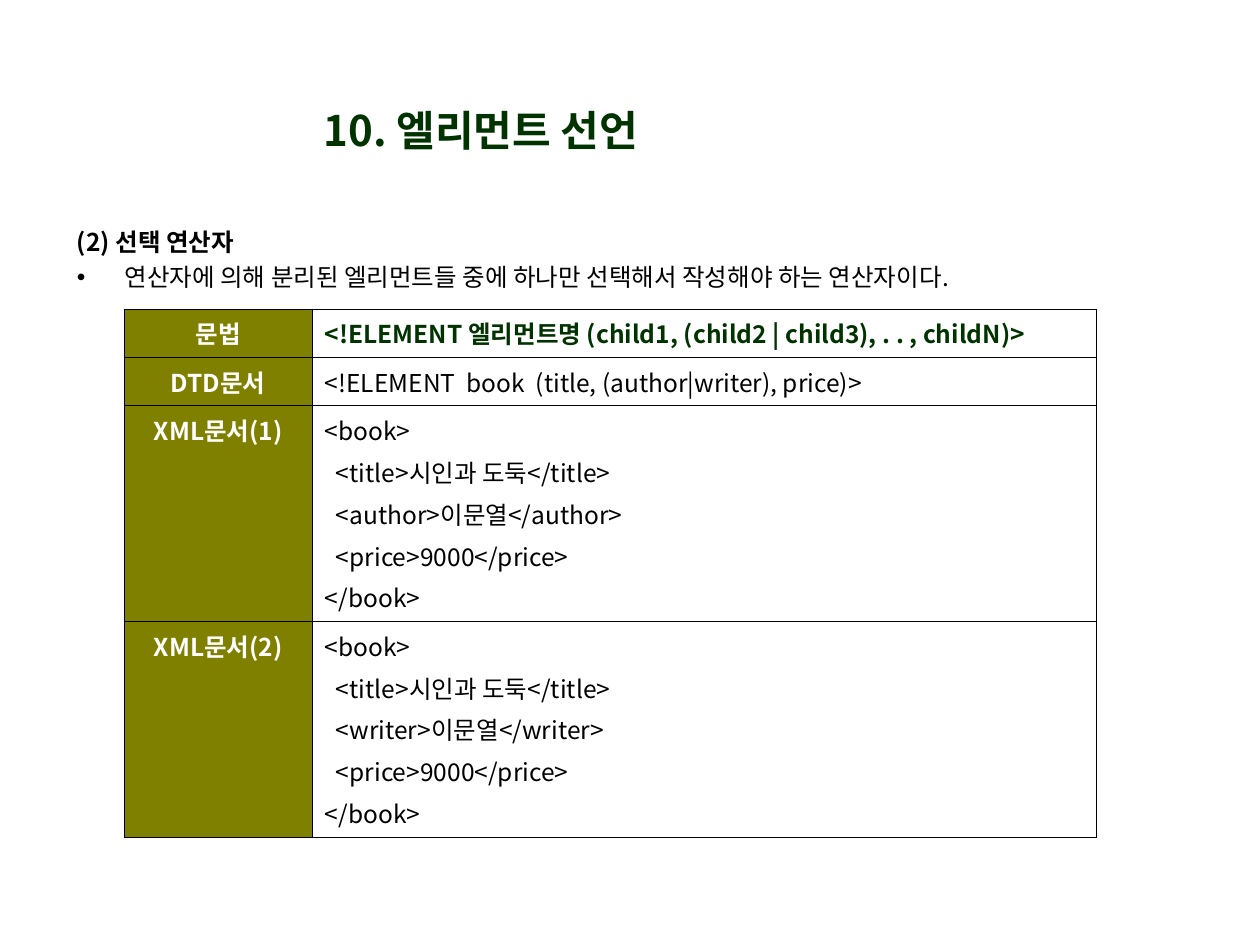
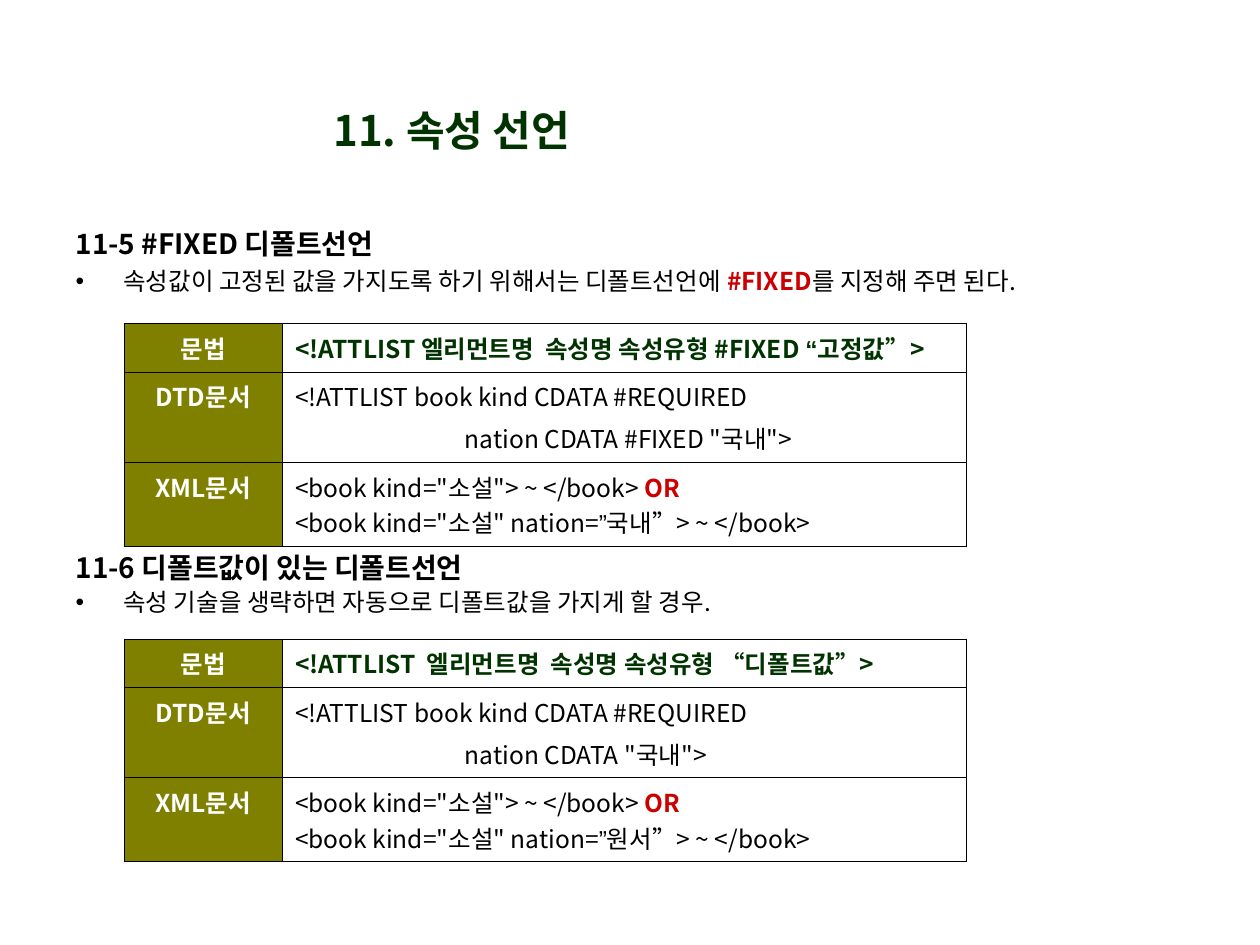
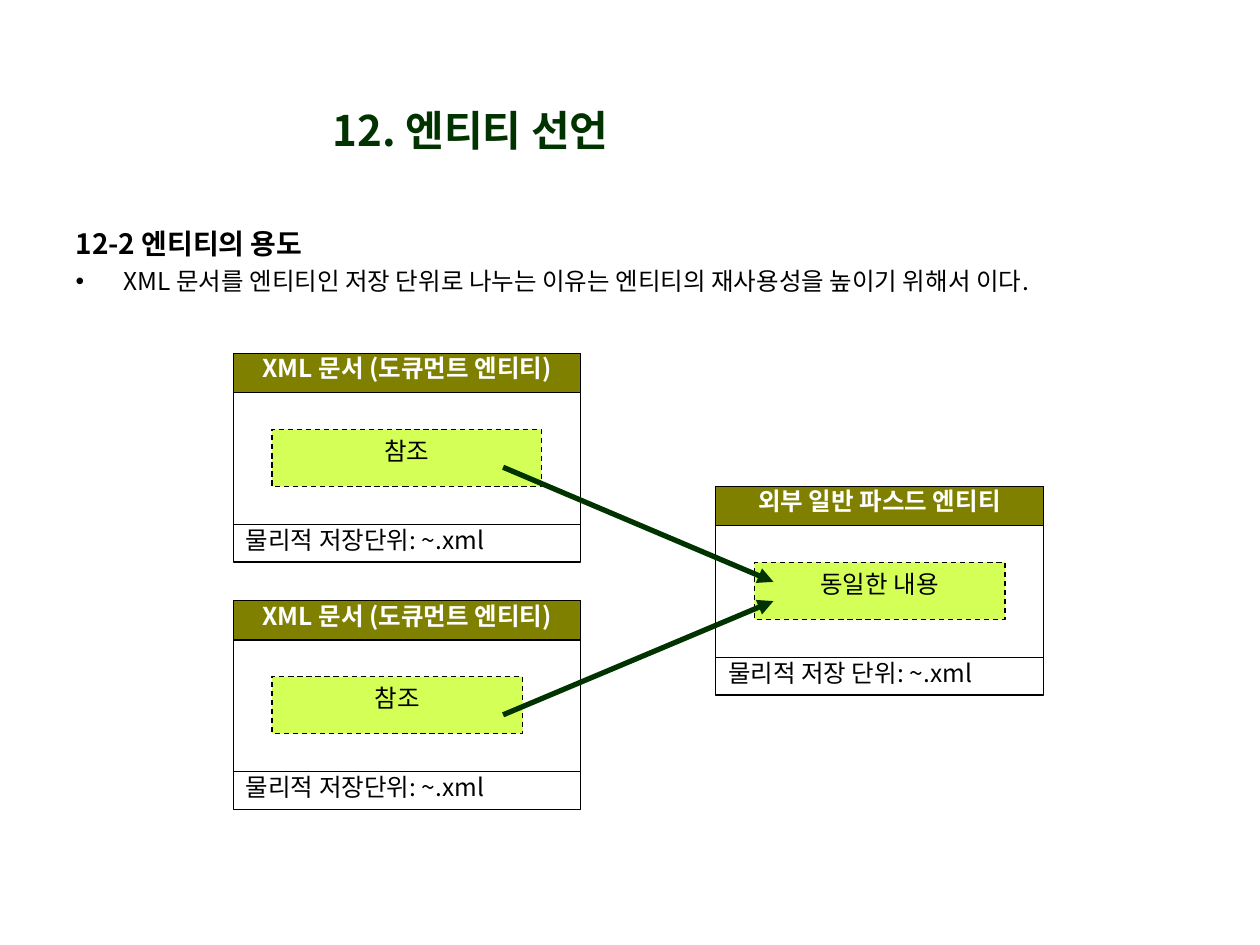
from lxml.etree import SubElement
from pptx import Presentation
from pptx.dml.color import RGBColor
from pptx.enum.dml import MSO_LINE
from pptx.enum.shapes import MSO_CONNECTOR, MSO_SHAPE
from pptx.enum.text import MSO_ANCHOR, MSO_AUTO_SIZE, PP_ALIGN
from pptx.oxml.ns import qn
from pptx.util import Pt

COLORS = {"black": "000000", "white": "FFFFFF", "green": "003300",
          "olive": "808000", "lime": "D3FF57", "red": "CC0000"}
FONT, QUOTE_FONT = "Noto Sans CJK KR", "Arial"
KEYWORDS = ("#FIXED", "OR")
HANGING = Pt(27.3)
GAP = Pt(3.5)


def rgb(name):
    return RGBColor.from_string(COLORS[name])


def write(paragraph, texts, size=14, color="black", bold=False):
    """Add one run per text; keywords turn red and bold, curly quotes take their own font."""
    for text in texts:
        keyword = text in KEYWORDS
        run = paragraph.add_run()
        run.text = text
        font = run.font
        font.size = Pt(size)
        font.bold = bold or keyword
        font.color.rgb = rgb("red" if keyword else color)
        font.name = QUOTE_FONT if text in ("“", "”") else FONT
        properties = run._r.get_or_add_rPr()
        properties.set("kern", "0")
        SubElement(properties, qn("a:ea"), typeface=FONT)


# Table rows: label, lines of runs, space between the lines
choice_rows = [
    ("문법", [["<!ELEMENT 엘리먼트명 (child1, (child2 | child3), . . , childN)>"]], GAP),
    ("DTD문서", [["<!ELEMENT  book  (title, (author|writer), price)>"]], GAP),
]
for number, tag in enumerate(("author", "writer"), 1):
    choice_rows.append((f"XML문서({number})", [
        ["<book>"],
        ["  <title>시인과 도둑</title>"],
        [f"  <{tag}>이문열</{tag}>"],
        ["  <price>9000</price>"],
        ["</book>"],
    ], GAP))

fixed_rows, default_rows = [
    [
        ("문법", [syntax], GAP),
        ("DTD문서", [["<!ATTLIST book kind CDATA #REQUIRED"],
                   [f'\t        nation CDATA {keyword}"국내">']], GAP),
        ("XML문서", [['<book kind="소설"> ~ </book> ', "OR"],
                   ['<book kind="소설" nation=', "”", nation, "”", "> ~ </book>"]], 0),
    ]
    for syntax, keyword, nation in [
        (["<!ATTLIST 엘리먼트명  속성명 속성유형 #FIXED ", "“", "고정값", "”", ">"],
         "#FIXED ", "국내"),
        (["<!ATTLIST  엘리먼트명  속성명 속성유형 ", "“", "디폴트값", "”", ">"],
         "", "원서"),
    ]
]

# Tables: top, column widths, row heights, rows
choice_table = (176.6, (107.6, 448), (24.5, 24.5, 105, 105), choice_rows)
fixed_table = (184.9, (90.5, 391), (25, 44.5, 41), fixed_rows)
default_table = (365.2, (90.5, 391), (24.5, 44.5, 41), default_rows)

# Sections: left, top, height, line spacing, heading, heading size, explanation, table
topics = [
    ("10. 엘리먼트 선언", 116, [
        (36.7, 126, 42, 1, "(2) 선택 연산자", 14,
         ["연산자에 의해 분리된 엘리먼트들 중에 하나만 선택해서 작성해야 하는 연산자이다."],
         choice_table),
    ]),
    ("11. 속성 선언", 99.4, [
        (36, 126, 42, 1, "11-5 #FIXED 디폴트선언", 16,
         ["속성값이 고정된 값을 가지도록 하기 위해서는 디폴트선언에 ", "#FIXED",
          "를 지정해 주면 된다."],
         fixed_table),
        (36, 313, 47.5, 0.9, "11-6 디폴트값이 있는 디폴트선언", 16,
         ["속성 기술을 생략하면 자동으로 디폴트값을 가지게 할 경우."],
         default_table),
    ]),
    ("12. 엔티티 선언", 110.2, [
        (36, 126, 47.5, 1, "12-2 엔티티의 용도", 16,
         ["XML 문서를 엔티티인 저장 단위로 나누는 이유는 엔티티의 재사용성을 높이기 위해서 이다."],
         None),
    ]),
]

prs = Presentation()
prs.slide_width, prs.slide_height = Pt(720), Pt(540)

for title_text, title_left, sections in topics:
    slide = prs.slides.add_slide(prs.slide_layouts[3 if len(sections) == 2 else 1])
    title, *bodies = slide.placeholders
    title.left, title.top, title.width, title.height = Pt(title_left), Pt(54.5), Pt(317.5), Pt(39.5)
    title.text_frame.auto_size = MSO_AUTO_SIZE.NONE
    title.text_frame.vertical_anchor = MSO_ANCHOR.MIDDLE
    heading_line = title.text_frame.paragraphs[0]
    heading_line.alignment = PP_ALIGN.CENTER
    write(heading_line, [title_text], 24, "green", True)

    for body, section in zip(bodies, sections):
        left, top, height, spacing, heading, heading_size, explanation, table_plan = section
        body.left, body.top, body.width, body.height = Pt(left), Pt(top), Pt(647), Pt(height)
        body.text_frame.auto_size = MSO_AUTO_SIZE.NONE
        intro = body.text_frame.paragraphs[0]
        bullet = body.text_frame.add_paragraph()
        for paragraph, mark in ((intro, None), (bullet, "•")):
            properties = paragraph._p.get_or_add_pPr()
            properties.set("marL", str(HANGING))
            properties.set("indent", str(-HANGING))
            if mark:
                SubElement(properties, qn("a:buChar"), char=mark)
            else:
                SubElement(properties, qn("a:buNone"))
            paragraph.line_spacing = spacing
            paragraph.space_before = GAP if mark else 0
        write(intro, [heading], heading_size, bold=True)
        write(bullet, explanation)

        if not table_plan:
            continue
        table_top, columns, heights, rows = table_plan
        table = slide.shapes.add_table(len(rows), 2, Pt(70.9), Pt(table_top),
                                       Pt(sum(columns)), Pt(sum(heights))).table
        table.first_row = table.horz_banding = False
        for column, width in zip(table.columns, columns):
            column.width = Pt(width)
        for row_index, (row, row_height, (label, lines, gap)) in enumerate(
                zip(table.rows, heights, rows)):
            row.height = Pt(row_height)
            label_cell, code_cell = row.cells
            for cell, fill in ((label_cell, "olive"), (code_cell, "white")):
                for side in ("a:lnL", "a:lnR", "a:lnT", "a:lnB"):
                    border = SubElement(cell._tc.get_or_add_tcPr(), qn(side), w=str(Pt(0.45)))
                    SubElement(SubElement(border, qn("a:solidFill")), qn("a:srgbClr"),
                               val=COLORS["black"])
                cell.fill.solid()
                cell.fill.fore_color.rgb = rgb(fill)
            label_line = label_cell.text_frame.paragraphs[0]
            label_line.alignment = PP_ALIGN.CENTER
            write(label_line, [label], color="white", bold=True)
            is_syntax = row_index == 0
            for line_index, line in enumerate(lines):
                frame = code_cell.text_frame
                code = frame.add_paragraph() if line_index else frame.paragraphs[0]
                if line[0].startswith("\t"):
                    tabs = SubElement(code._p.get_or_add_pPr(), qn("a:tabLst"))
                    SubElement(tabs, qn("a:tab"), pos=str(Pt(72)), algn="l")
                code.space_before = gap if line_index else 0
                write(code, line, color="green" if is_syntax else "black", bold=is_syntax)

# Entity diagram on the last slide: left, top, width, name, content, content width, storage
entities = [
    (133.4, 202, 198.5, "XML 문서 (도큐먼트 엔티티)", "참조", 154, "물리적 저장단위: ~.xml"),
    (133.4, 343.2, 198.5, "XML 문서 (도큐먼트 엔티티)", "참조", 143.3, "물리적 저장단위: ~.xml"),
    (409, 278, 187.2, "외부 일반 파스드 엔티티", "동일한 내용", 143.3, "물리적 저장 단위: ~.xml"),
]
for left, top, width, name, content, content_width, storage in entities:
    # Parts: text, left, top, width, height, fill, text colour, alignment, inset
    for text, x, y, w, h, fill, color, alignment, inset in [
        ("", left, top, width, 97.8, "white", "black", PP_ALIGN.CENTER, 0),
        (name, left, top, width, 22.5, "olive", "white", PP_ALIGN.CENTER, 0),
        (content, left + 22, top + 43.4, content_width, 32.5, "lime", "black",
         PP_ALIGN.CENTER, 3.6),
        (storage, left, top + 97.8, width, 21.4, "white", "black", PP_ALIGN.JUSTIFY, 0),
    ]:
        part = slide.shapes.add_shape(MSO_SHAPE.RECTANGLE, Pt(x), Pt(y), Pt(w), Pt(h))
        part.shadow.inherit = False
        part.fill.solid()
        part.fill.fore_color.rgb = rgb(fill)
        part.line.color.rgb = rgb("black")
        part.line.width = Pt(0.75)
        if fill == "lime":
            part.line.dash_style = MSO_LINE.DASH
        if text:
            frame = part.text_frame
            frame.word_wrap = True
            frame.vertical_anchor = MSO_ANCHOR.TOP
            frame.margin_top = frame.margin_bottom = Pt(inset)
            frame.paragraphs[0].alignment = alignment
            write(frame.paragraphs[0], [text], color=color, bold=fill == "olive")

for start_y, end_y in ((267, 332.5), (408.5, 343.5)):
    reference = slide.shapes.add_connector(MSO_CONNECTOR.STRAIGHT, Pt(287.5), Pt(start_y),
                                           Pt(442), Pt(end_y))
    reference.line.color.rgb = rgb("green")
    reference.line.width = Pt(3)
    SubElement(reference.line._get_or_add_ln(), qn("a:tailEnd"), type="triangle")
    SubElement(reference._element.spPr, qn("a:effectLst"))

prs.save("out.pptx")
